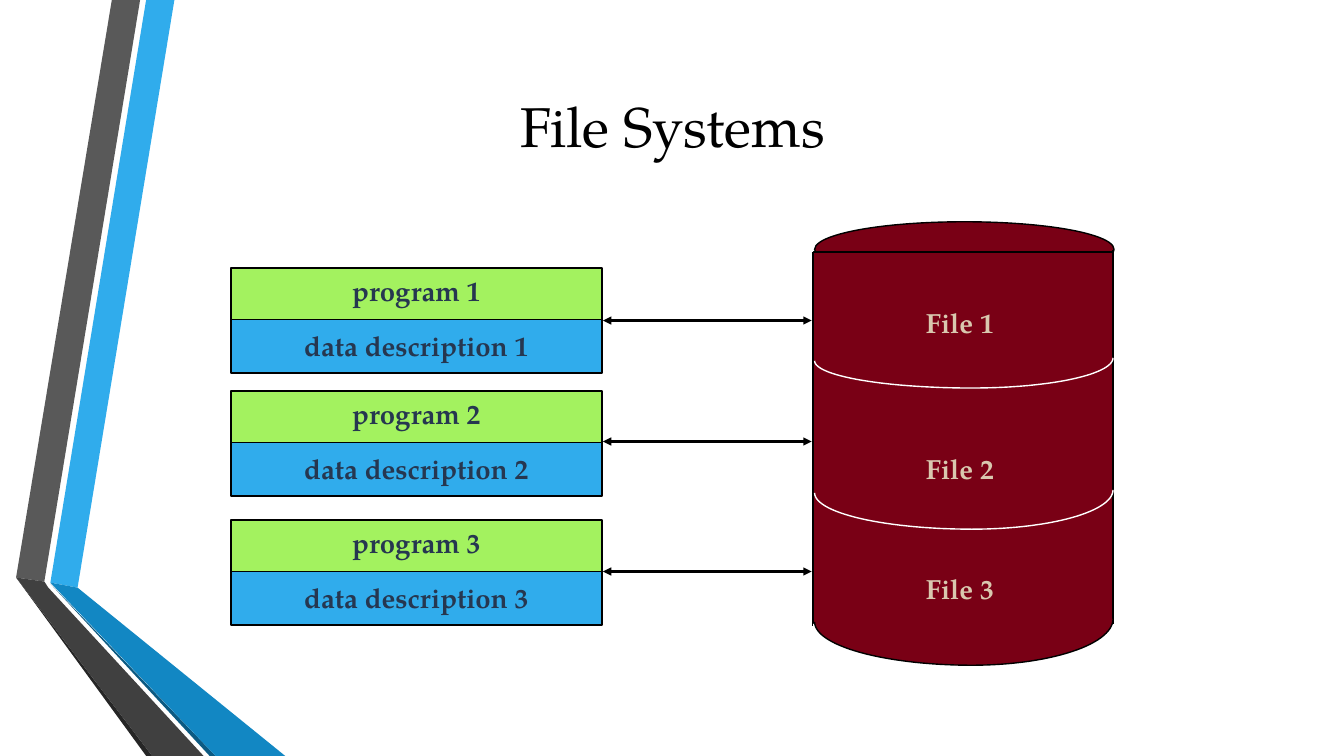
import math

import pptx
import pptx.dml.color
import pptx.enum.shapes
import pptx.enum.text
import pptx.oxml
import pptx.oxml.ns
import pptx.util

Inches = pptx.util.Inches
Pt = pptx.util.Pt
RGBColor = pptx.dml.color.RGBColor
MSO_SHAPE = pptx.enum.shapes.MSO_SHAPE
PP_ALIGN = pptx.enum.text.PP_ALIGN
MSO_ANCHOR = pptx.enum.text.MSO_ANCHOR
MSO_AUTO_SIZE = pptx.enum.text.MSO_AUTO_SIZE

FONT = "TeX Gyre Pagella"
BLACK = RGBColor(0x00, 0x00, 0x00)
WHITE = RGBColor(0xFF, 0xFF, 0xFF)
BLUE = RGBColor(0x30, 0xAC, 0xEC)
MID_BLUE = RGBColor(0x12, 0x87, 0xC3)
DARK_BLUE = RGBColor(0x0C, 0x5A, 0x82)
GRAY = RGBColor(0x59, 0x59, 0x59)
DARK_GRAY = RGBColor(0x40, 0x40, 0x40)
DARKEST_GRAY = RGBColor(0x26, 0x26, 0x26)
GREEN = RGBColor(0xA3, 0xF2, 0x5F)
MAROON = RGBColor(0x79, 0x00, 0x15)
NAVY = RGBColor(0x26, 0x37, 0x50)
BEIGE = RGBColor(0xD9, 0xC8, 0xAF)

RIBBONS = [
    (BLUE, [(0.5, 5.78), (0.77, 5.83), (1.73, 0), (1.45, 0)]),
    (GRAY, [(1.39, 0), (1.11, 0), (0.16, 5.73), (0.44, 5.77)]),
    (DARKEST_GRAY, [(0.16, 5.73), (1.45, 7.5), (1.51, 7.5)]),
    (DARK_BLUE, [(0.5, 5.79), (2.08, 7.5), (2.14, 7.5)]),
    (MID_BLUE, [(0.5, 5.78), (2.14, 7.5), (2.83, 7.5), (0.77, 5.83)]),
    (DARK_GRAY, [(2.02, 7.5), (0.48, 5.83), (0.44, 5.77), (0.16, 5.73), (1.51, 7.5)]),
]
# Top of the program box, height of the arrow, top of the file label
ROWS = [(2.66, 3.18, 2.99), (3.88, 4.38, 4.43), (5.16, 5.67, 5.62)]
# Right end, left end and lowest point of each curve, with its line colour
CURVES = [(6.14, 6.17, 6.6, BLACK), (3.55, 3.58, 3.85, WHITE), (4.86, 4.89, 5.25, WHITE)]
BOX_LEFT, BOX_WIDTH, BOX_HEIGHT = 2.29, 3.68, 0.53
DRUM_LEFT, DRUM_RIGHT, DRUM_MIDDLE = 8.08, 11.04, 9.64


def style_shape(shape, fill, line=None):
    shape.shadow.inherit = False
    shape.fill.solid()
    shape.fill.fore_color.rgb = fill
    if line is None:
        shape.line.fill.background()
    else:
        shape.line.color.rgb = line
        shape.line.width = Pt(1)


def write_text(text_frame, text, size=19.7, color=NAVY, bold=True, spacing=None):
    paragraph = text_frame.paragraphs[0]
    paragraph.alignment = PP_ALIGN.CENTER
    paragraph.line_spacing = spacing
    run = paragraph.add_run()
    run.text = text
    run.font.name = FONT
    run.font.size = Pt(size)
    run.font.bold = bold
    run.font.color.rgb = color


def add_label(slide, text, left, top, width, **text_format):
    box = slide.shapes.add_textbox(Inches(left), Inches(top), Inches(width), Inches(0.52))
    box.text_frame.word_wrap = False
    box.text_frame.auto_size = MSO_AUTO_SIZE.SHAPE_TO_FIT_TEXT
    write_text(box.text_frame, text, **text_format)


def add_preset(slide, preset, left, top, width, height, fill):
    shape = slide.shapes.add_shape(
        preset, Inches(left), Inches(top), Inches(width), Inches(height))
    style_shape(shape, fill, BLACK)


def add_outline(slide, points, fill, line=None, close=True):
    corners = [(Inches(x), Inches(y)) for x, y in points]
    builder = slide.shapes.build_freeform(*corners[0])
    builder.add_line_segments(corners[1:], close=close)
    style_shape(builder.convert_to_shape(), fill, line)


def add_drum_curve(slide, right_y, left_y, bottom, line):
    """Draw the lower half of an ellipse across the drum, from right to left."""
    points = []
    for degrees in range(0, 181, 3):
        angle = math.radians(degrees)
        end_x, end_y = (DRUM_RIGHT, right_y) if degrees <= 90 else (DRUM_LEFT, left_y)
        points.append((DRUM_MIDDLE + abs(math.cos(angle)) * (end_x - DRUM_MIDDLE),
                       end_y + math.sin(angle) * (bottom - end_y)))
    add_outline(slide, points, MAROON, line, close=False)


def add_line(slide, start, end, width=1, arrows=False):
    connector = slide.shapes.add_connector(
        pptx.enum.shapes.MSO_CONNECTOR.STRAIGHT,
        Inches(start[0]), Inches(start[1]), Inches(end[0]), Inches(end[1]))
    connector.line.color.rgb = BLACK
    connector.line.width = Pt(width)
    properties = connector._element.spPr
    if arrows:
        line = properties.find(pptx.oxml.ns.qn("a:ln"))
        for tag in ("a:headEnd", "a:tailEnd"):
            arrowhead = pptx.oxml.parse_xml(
                f'<{tag} {pptx.oxml.ns.nsdecls("a")} type="triangle"/>')
            line.append(arrowhead)
    properties.append(pptx.oxml.parse_xml(
        f'<a:effectLst {pptx.oxml.ns.nsdecls("a")}/>'))


def add_title(slide, text):
    title = slide.shapes.title
    title.left, title.top = Inches(1.19), Inches(0.28)
    title.width, title.height = Inches(10.96), Inches(1.92)
    title.text_frame.vertical_anchor = MSO_ANCHOR.MIDDLE
    write_text(title.text_frame, text, size=40, color=BLACK, bold=False)


def add_program(slide, number, top):
    description_top = top + 0.51
    add_preset(slide, MSO_SHAPE.RECTANGLE, BOX_LEFT, top, BOX_WIDTH, BOX_HEIGHT, GREEN)
    add_label(slide, f"program {number}", 3.26, top - 0.02, 1.74, spacing=1.1)
    add_preset(slide, MSO_SHAPE.RECTANGLE, BOX_LEFT, description_top,
               BOX_WIDTH, BOX_HEIGHT, BLUE)
    add_label(slide, f"data description {number}", 2.7, description_top + 0.04, 2.86)


def add_drum_body(slide):
    add_line(slide, (DRUM_RIGHT, 2.48), (DRUM_RIGHT, 6.19))
    add_preset(slide, MSO_SHAPE.RECTANGLE, 8.07, 2.5, 2.97, 3.68, MAROON)
    add_line(slide, (8.06, 2.5), (8.06, 6.21))
    for curve in CURVES:
        add_drum_curve(slide, *curve)


def main():
    presentation = pptx.Presentation()
    presentation.slide_width = Inches(13.33)
    presentation.slide_height = Inches(7.5)
    slide = presentation.slides.add_slide(presentation.slide_layouts[5])

    for color, points in RIBBONS:
        add_outline(slide, points, color)
    add_title(slide, "File Systems")

    add_preset(slide, MSO_SHAPE.OVAL, DRUM_LEFT, 2.2, 2.97, 0.55, MAROON)
    for _, arrow_y, _ in ROWS:
        add_line(slide, (5.98, arrow_y), (8.05, arrow_y), width=1.5, arrows=True)
    for number, (program_top, _, _) in enumerate(ROWS, start=1):
        add_program(slide, number, program_top)
    add_drum_body(slide)
    for number, (_, _, label_top) in enumerate(ROWS, start=1):
        add_label(slide, f"File {number}", 9, label_top, 1.04, color=BEIGE)

    presentation.save("out.pptx")


if __name__ == "__main__":
    main()
